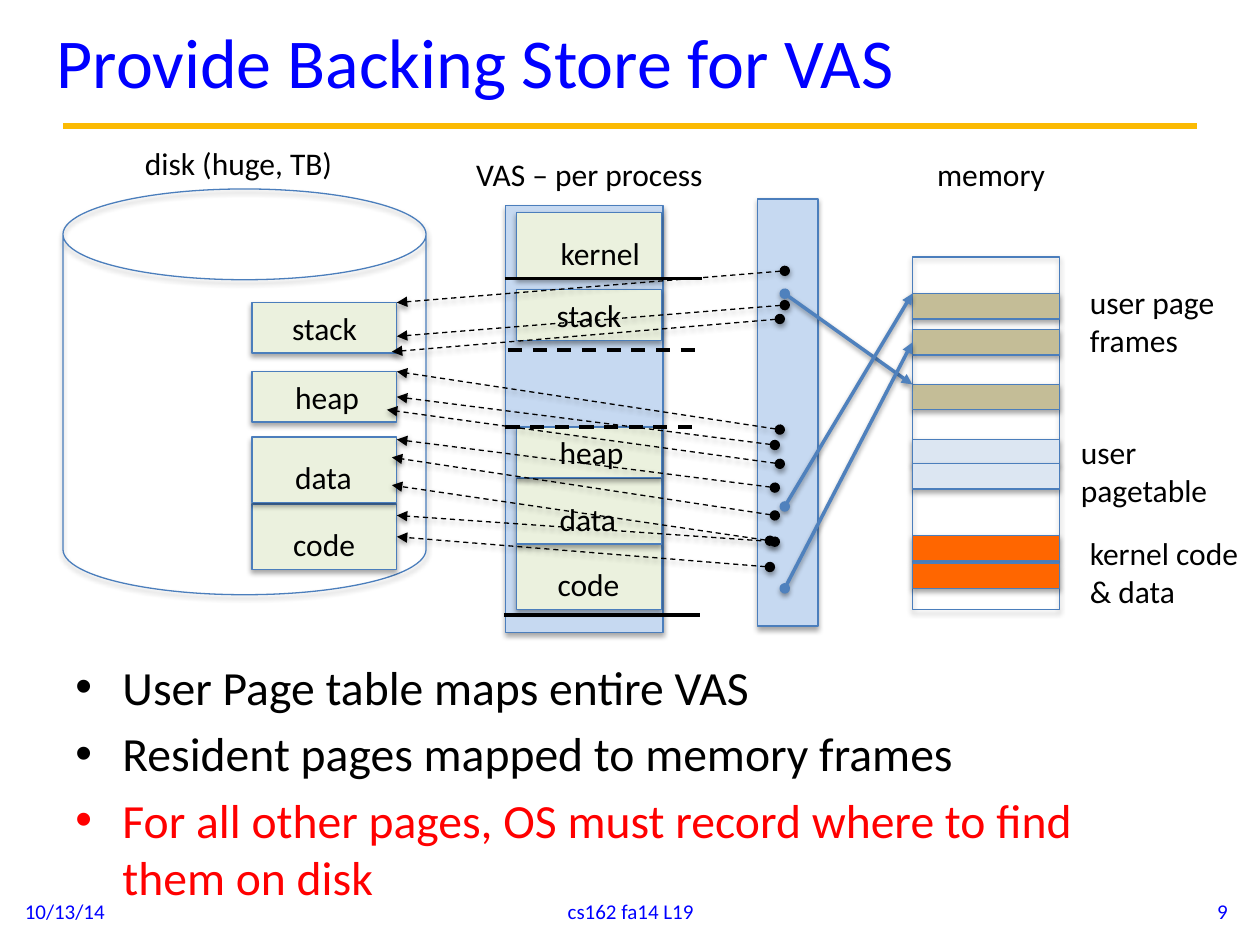
from dataclasses import dataclass
from typing import Optional

from lxml import etree
from pptx import Presentation
from pptx.dml.color import RGBColor
from pptx.enum.dml import MSO_LINE
from pptx.enum.shapes import MSO_CONNECTOR, MSO_SHAPE
from pptx.enum.text import MSO_ANCHOR, MSO_AUTO_SIZE, PP_ALIGN
from pptx.oxml.ns import qn
from pptx.util import Cm, Pt

RECTANGLE, CAN = MSO_SHAPE.RECTANGLE, MSO_SHAPE.CAN
STRAIGHT = MSO_CONNECTOR.STRAIGHT
DASH = MSO_LINE.DASH
TOP, MIDDLE = MSO_ANCHOR.TOP, MSO_ANCHOR.MIDDLE
LEFT, CENTER, RIGHT = PP_ALIGN.LEFT, PP_ALIGN.CENTER, PP_ALIGN.RIGHT
LEFT_SIDE, RIGHT_SIDE = 1, 3

FONT = "Calibri"
BLACK, BLUE, RED, GOLD = "000000", "0000FF", "FF0000", "FBBA03"
OUTLINE, MAPPING = "4B7EBC", "4F81BD"
PALE_BLUE, PALE_GREEN = "C6D9F1", "EBF1DE"
TAN, ICE, ORANGE = "C4BD97", "DCE6F2", "FF6600"

DISK_LEFT, VAS_LEFT, MEMORY_LEFT = 5.08, 10.41, 18.39
BLOCK_WIDTH, MEMORY_WIDTH, FRAME_HEIGHT = 2.92, 2.97, 0.51
DISK_RIGHT = DISK_LEFT + BLOCK_WIDTH
LABEL_HEIGHT = 1.02


@dataclass
class Segment:
    name: str
    height: float
    label_indent: float
    label_drop: float
    label_width: float
    vas_top: float
    disk_top: Optional[float] = None


@dataclass
class Arrow:
    start: tuple
    end: tuple
    target: str = ""


SEGMENTS = [
    Segment("code", 1.32, 0.58, 0.3, 1.78, 10.97, 10.16),
    Segment("data", 1.32, 0.62, 0.3, 1.68, 9.65, 8.81),
    Segment("heap", 1.02, 0.62, 0, 1.8, 8.61, 7.49),
    Segment("stack", 1.02, 0.56, 0, 1.85, 5.84, 6.1),
    Segment("kernel", 1.32, 0.64, 0.3, 2.16, 4.29),
]
FRAMES = [(5.92, TAN), (6.65, TAN), (7.75, TAN), (8.86, ICE), (9.35, ICE),
          (10.8, ORANGE), (11.35, ORANGE)]
LINKED_FRAME_TOP = 6.65
FRAME_ARROWS = [
    Arrow((15.82, 5.92), (MEMORY_LEFT, 7.75)),
    Arrow((15.82, 11.86), (MEMORY_LEFT, 6.91), "frame"),
    Arrow((15.82, 10.21), (MEMORY_LEFT, 5.92)),
]
DISK_ARROWS = [
    Arrow((15.82, 5.46), (DISK_RIGHT, 6.1)),
    Arrow((15.82, 6.15), (DISK_RIGHT, 6.78)),
    Arrow((15.72, 6.43), (7.9, 7.09)),
    Arrow((15.72, 8.66), (DISK_RIGHT, 7.49)),
    Arrow((15.62, 8.97), (DISK_RIGHT, 8.0), "heap"),
    Arrow((15.72, 9.35), (7.8, 8.26)),
    Arrow((15.62, 9.83), (DISK_RIGHT, 8.86)),
    Arrow((15.62, 10.39), (7.9, 9.22)),
    Arrow((15.52, 10.9), (7.9, 9.78)),
    Arrow((15.62, 10.92), (DISK_RIGHT, 10.39)),
    Arrow((15.52, 11.43), (DISK_RIGHT, 10.82), "code"),
]
VAS_BOUNDS = [(10.19, 5.61, None), (10.19, 8.61, DASH),
              (10.24, 7.06, DASH), (10.16, 12.4, None)]
CAPTIONS = [
    ("disk (huge, TB)", 2.67, 2.77, 4.34),
    ("VAS – per process", 9.35, 3.0, 5.18),
    ("memory", 18.64, 3.0, 2.72),
]
MEMORY_NOTES = [("user page\nframes", 21.72, 5.59), ("user pagetable", 21.54, 8.61),
                ("kernel code & data", 21.72, 10.64)]
FOOTERS = [("10/13/14", 0.25, 5.92, LEFT), ("cs162 fa14 L19", 8.69, 8.05, CENTER),
           ("9", 19.08, 5.92, RIGHT)]
BULLETS = [("User Page table maps entire VAS", BLACK),
           ("Resident pages mapped to memory frames", BLACK),
           ("For all other pages, OS must record where to find them on disk", RED)]


def paint(color_format, color: str) -> None:
    color_format.rgb = RGBColor.from_string(color)


def cast_shadow(effects, alpha: int, distance: float) -> None:
    shadow = etree.SubElement(effects, qn("a:outerShdw"), blurRad=str(Pt(3.1)),
                              dist=str(Pt(distance)), dir="5400000", rotWithShape="0")
    color = etree.SubElement(shadow, qn("a:srgbClr"), val=BLACK)
    etree.SubElement(color, qn("a:alpha"), val=str(alpha * 1000))


def write(paragraph, text: str, *, size: float = 18, color: str = BLACK,
          align=LEFT) -> None:
    paragraph.alignment = align
    span = paragraph.add_run()
    span.text = text
    span.font.name = FONT
    span.font.size = Pt(size)
    paint(span.font.color, color)


def add_text(page, text: str, left: float, top: float, width: float, height: float, *,
             wrap: bool = False, anchor=TOP, grow: bool = True, **style):
    box = page.shapes.add_textbox(Cm(left), Cm(top), Cm(width), Cm(height))
    frame = box.text_frame
    frame.word_wrap = wrap
    frame.auto_size = MSO_AUTO_SIZE.SHAPE_TO_FIT_TEXT if grow else MSO_AUTO_SIZE.NONE
    frame.vertical_anchor = anchor
    for index, line in enumerate(text.split("\n")):
        write(frame.add_paragraph() if index else frame.paragraphs[0], line, **style)
    return box


def add_box(page, left: float, top: float, width: float, height: float,
            fill: Optional[str] = None, preset=RECTANGLE):
    shape = page.shapes.add_shape(preset, Cm(left), Cm(top), Cm(width), Cm(height))
    shape.shadow.inherit = False
    cast_shadow(shape._element.spPr.find(qn("a:effectLst")), 35, 1.8)
    if fill:
        shape.fill.solid()
        paint(shape.fill.fore_color, fill)
    else:
        shape.fill.background()
    paint(shape.line.color, OUTLINE)
    shape.line.width = Pt(0.75)
    return shape


def add_line(page, start: tuple, end: tuple, color: str, width: float, dash=None,
             arrow: bool = False):
    line = page.shapes.add_connector(STRAIGHT, *(Cm(value) for value in start + end))
    paint(line.line.color, color)
    line.line.width = Pt(width)
    if dash:
        line.line.dash_style = dash
    effects = etree.SubElement(line._element.spPr, qn("a:effectLst"))
    if arrow:
        outline = line.line._get_or_add_ln()
        etree.SubElement(outline, qn("a:headEnd"), type="oval")
        etree.SubElement(outline, qn("a:tailEnd"), type="triangle")
        cast_shadow(effects, 38, 1.6)
    return line


def add_arrows(page, arrows: list, targets: dict, side: int, color: str,
               width: float, dash=None) -> None:
    for arrow in arrows:
        line = add_line(page, arrow.start, arrow.end, color, width, dash, arrow=True)
        if arrow.target:
            line.end_connect(targets[arrow.target], side)


def add_segment(page, segment: Segment, left: float, top: float):
    block = add_box(page, left, top, BLOCK_WIDTH, segment.height, PALE_GREEN)
    add_text(page, segment.name, left + segment.label_indent, top + segment.label_drop,
             segment.label_width, LABEL_HEIGHT)
    return block


def add_title(page) -> None:
    title = page.shapes.title
    title.left, title.top, title.width, title.height = Cm(0.89), Cm(0), Cm(23.24), Cm(2.44)
    title.text_frame.vertical_anchor = MIDDLE
    write(title.text_frame.paragraphs[0], "Provide Backing Store for VAS", size=40, color=BLUE)
    add_line(page, (1.27, 2.54), (24.13, 2.54), GOLD, 3.75)


def add_bullets(page) -> None:
    box = page.shapes.add_textbox(Cm(1.27), Cm(13.13), Cm(22.86), Cm(4.72))
    frame = box.text_frame
    frame.word_wrap = True
    for index, (text, color) in enumerate(BULLETS):
        paragraph = frame.add_paragraph() if index else frame.paragraphs[0]
        properties = paragraph._p.get_or_add_pPr()
        properties.set("marL", str(Cm(0.95)))
        properties.set("indent", str(-Cm(0.95)))
        etree.SubElement(properties, qn("a:buFont"), typeface="Arial")
        etree.SubElement(properties, qn("a:buChar"), char="•")
        if index:
            paragraph.space_before = Pt(5.4)
        write(paragraph, text, size=27.2, color=color)


def main() -> None:
    deck = Presentation()
    deck.slide_width, deck.slide_height = Cm(25.4), Cm(19.05)
    page = deck.slides.add_slide(deck.slide_layouts[5])
    add_title(page)
    add_bullets(page)
    for text, left, width, align in FOOTERS:
        add_text(page, text, left, 17.86, width, 1.02, wrap=True, anchor=MIDDLE,
                 grow=False, size=12, color=BLUE, align=align)
    add_box(page, 1.27, 3.81, 7.32, 8.18, preset=CAN)
    for text, left, top, width in CAPTIONS:
        add_text(page, text, left, top, width, LABEL_HEIGHT)

    add_box(page, 10.19, 4.14, 3.18, 8.61, PALE_BLUE)
    for segment in SEGMENTS:
        add_segment(page, segment, VAS_LEFT, segment.vas_top)
    for left, top, dash in VAS_BOUNDS:
        add_line(page, (left, top), (left + 3.96, top), BLACK, 2, dash)

    add_box(page, MEMORY_LEFT, 5.18, MEMORY_WIDTH, 7.11)
    frames = {top: add_box(page, MEMORY_LEFT, top, MEMORY_WIDTH, FRAME_HEIGHT, fill)
              for top, fill in FRAMES}
    for text, left, top in MEMORY_NOTES:
        add_text(page, text, left, top, 3.78, 1.57, wrap=True)

    add_box(page, 15.27, 4.01, 1.22, 8.61, PALE_BLUE)
    add_arrows(page, FRAME_ARROWS, {"frame": frames[LINKED_FRAME_TOP]}, LEFT_SIDE, MAPPING, 2)
    disk_blocks = {segment.name: add_segment(page, segment, DISK_LEFT, segment.disk_top)
                   for segment in SEGMENTS if segment.disk_top is not None}
    add_arrows(page, DISK_ARROWS, disk_blocks, RIGHT_SIDE, BLACK, 0.75, DASH)
    deck.save("out.pptx")


if __name__ == "__main__":
    main()
